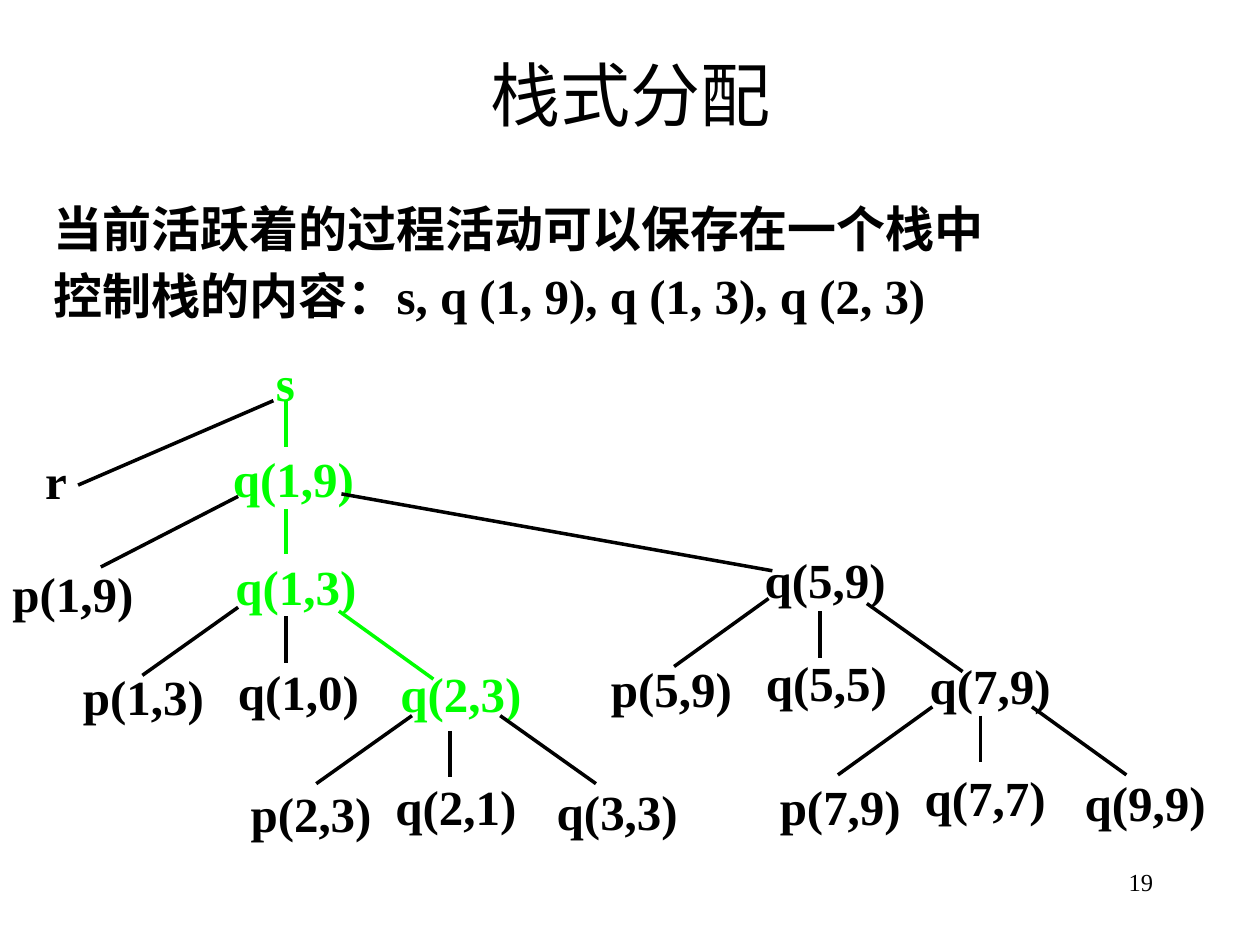
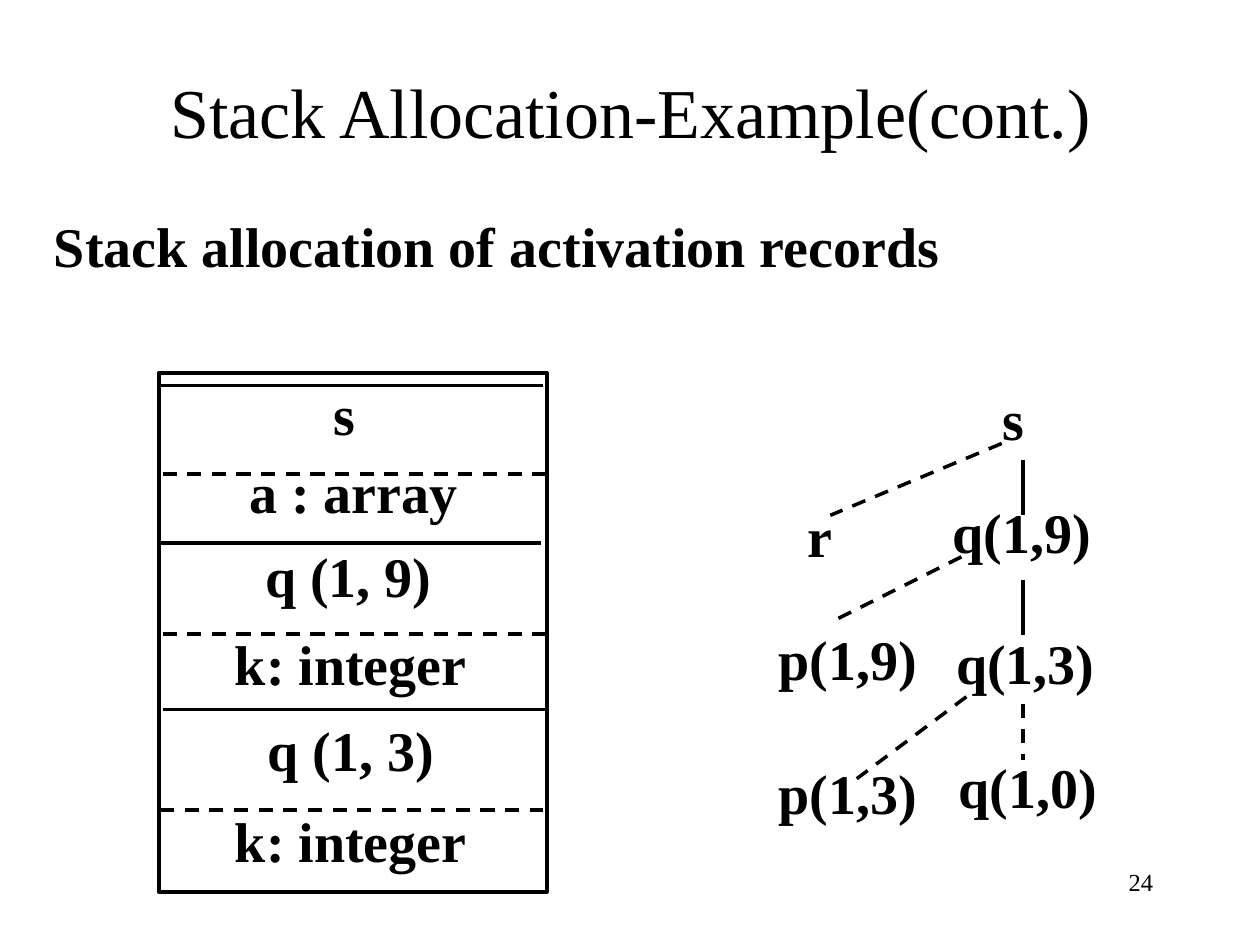
"""Builds two slides on stack allocation: an activation tree and a stack of activation records."""
from lxml import etree
from pptx import Presentation
from pptx.dml.color import RGBColor
from pptx.enum.dml import MSO_LINE
from pptx.enum.shapes import MSO_CONNECTOR, MSO_SHAPE
from pptx.enum.text import MSO_ANCHOR, PP_ALIGN
from pptx.oxml.ns import qn
from pptx.util import Inches, Pt

BLACK = "000000"
GREEN = "00FF00"
LATIN_FONT = "Times New Roman"
CHINESE_FONT = "Noto Sans CJK SC"


def add_text(page, text, left, top, width, height, size, color=BLACK, bold=True, align=PP_ALIGN.LEFT):
    box = page.shapes.add_textbox(Inches(left), Inches(top), Inches(width), Inches(height))
    box.text_frame.word_wrap = True
    box.text_frame.text = text
    for para in box.text_frame.paragraphs:
        para.alignment = align
        for span in para.runs:
            span.font.size = Pt(size)
            span.font.bold = bold
            span.font.name = LATIN_FONT
            span.font.color.rgb = RGBColor.from_string(color)
            etree.SubElement(span.font._element, qn("a:ea"), typeface=CHINESE_FONT)
    return box.text_frame


def add_line(page, start_x, start_y, end_x, end_y, color=BLACK, dashed=False):
    line = page.shapes.add_connector(
        MSO_CONNECTOR.STRAIGHT, Inches(start_x), Inches(start_y), Inches(end_x), Inches(end_y))
    line.line.color.rgb = RGBColor.from_string(color)
    line.line.width = Pt(2)
    if dashed:
        line.line.dash_style = MSO_LINE.DASH
    etree.SubElement(line._element.spPr, qn("a:effectLst"))


deck = Presentation()
deck.slide_width = Inches(10)
deck.slide_height = Inches(7.5)

slides = [
    ("栈式分配", 0.98, "当前活跃着的过程活动可以保存在一个栈中\n控制栈的内容：s, q (1, 9), q (1, 3), q (2, 3)", 1.58, 28, "19"),
    ("Stack Allocation-Example(cont.)", 1.25, "Stack allocation of activation records", 1.69, 32, "24"),
]
pages = []
for title, title_height, body, body_top, body_size, number in slides:
    page = deck.slides.add_slide(deck.slide_layouts[6])
    frame = add_text(page, title, 0.17, 0.25, 9.67, title_height, 40, bold=False, align=PP_ALIGN.CENTER)
    frame.vertical_anchor = MSO_ANCHOR.MIDDLE
    frame = add_text(page, body, 0.33, body_top, 9.31, 1.3, body_size)
    for position, para in enumerate(frame.paragraphs):
        para.line_spacing = 0.9
        if position:
            para.space_before = Pt(8)
    add_text(page, number, 7.17, 6.83, 2.08, 0.5, 14, bold=False, align=PP_ALIGN.RIGHT)
    pages.append(page)
tree_page, record_page = pages

active_calls = [("s", 2.09, 2.75), ("q(1,9)", 1.75, 3.51), ("q(1,3)", 1.77, 4.37), ("q(2,3)", 3.08, 5.22)]
other_calls = [
    ("r", 0.26, 3.53), ("p(1,9)", 0, 4.42), ("q(1,0)", 1.79, 5.2), ("p(1,3)", 0.56, 5.24),
    ("q(2,1)", 3.04, 6.11), ("q(3,3)", 4.32, 6.15), ("p(2,3)", 1.89, 6.17),
    ("q(5,9)", 5.97, 4.31), ("q(5,5)", 5.98, 5.13), ("p(5,9)", 4.75, 5.18), ("q(7,9)", 7.28, 5.15),
    ("q(7,7)", 7.24, 6.04), ("q(9,9)", 8.51, 6.08), ("p(7,9)", 6.09, 6.11),
]
active_edges = [(2.27, 3.18, 2.27, 3.55), (2.27, 4.04, 2.27, 4.4), (2.69, 4.85, 3.44, 5.39)]
other_edges = [
    (2.17, 3.18, 0.62, 3.85), (1.89, 3.94, 0.8, 4.5), (2.71, 3.92, 6.13, 4.53),
    (1.89, 4.82, 1.13, 5.36), (2.27, 4.89, 2.27, 5.26),
    (3.27, 5.68, 2.51, 6.22), (3.57, 5.8, 3.57, 6.17), (3.97, 5.68, 4.73, 6.22),
    (6.1, 4.75, 5.35, 5.29), (6.51, 4.85, 6.51, 5.22), (6.88, 4.79, 7.64, 5.33),
    (7.4, 5.61, 6.65, 6.15), (7.78, 5.68, 7.78, 6.05), (8.19, 5.61, 8.94, 6.15),
]
for color, calls, edges in [(GREEN, active_calls, active_edges), (BLACK, other_calls, other_edges)]:
    for call, left, top in calls:
        add_text(tree_page, call, left, top, 1.22, 0.65, 28, color)
    for edge in edges:
        add_line(tree_page, *edge, color)

stack = record_page.shapes.add_shape(MSO_SHAPE.RECTANGLE, Inches(1.26), Inches(2.96), Inches(3.08), Inches(4.12))
stack.shadow.inherit = False
stack.fill.background()
stack.line.color.rgb = RGBColor.from_string(BLACK)
stack.line.width = Pt(2)

record_fields = [
    ("s", 1.27, 2.92), ("a : array", 1.34, 3.54), ("q (1, 9)", 1.3, 4.21),
    ("k: integer", 1.32, 4.91), ("q (1, 3)", 1.32, 5.59), ("k: integer", 1.32, 6.31),
]
for field, left, top in record_fields:
    frame = add_text(record_page, field, left, top, 2.93, 0.77, 32, align=PP_ALIGN.CENTER)
    frame.margin_top = Inches(0.09)

record_borders = [
    (1.25, 4.31, 3.06, False), (1.29, 4.33, 3.76, True), (1.25, 4.29, 4.31, False),
    (1.29, 4.33, 5.03, True), (1.29, 4.33, 5.63, False), (1.27, 4.31, 6.43, True),
]
for left, right, height, dashed in record_borders:
    add_line(record_page, left, height, right, height, dashed=dashed)

record_calls = [
    ("s", 7.86, 3), ("r", 6.31, 3.93), ("q(1,9)", 7.46, 3.9), ("p(1,9)", 6.08, 4.91),
    ("q(1,3)", 7.49, 4.94), ("p(1,3)", 6.08, 5.97), ("q(1,0)", 7.51, 5.92),
]
for call, left, top in record_calls:
    add_text(record_page, call, left, top, 1.41, 0.78, 32)

live_edges = [(8.12, 3.65, 8.12, 4.09), (8.12, 4.6, 8.12, 5.04)]
finished_edges = [
    (7.95, 3.52, 6.59, 4.09), (7.63, 4.42, 6.59, 4.94),
    (7.67, 5.53, 6.8, 6.18), (8.12, 5.59, 8.12, 6.03),
]
for edges, dashed in [(live_edges, False), (finished_edges, True)]:
    for edge in edges:
        add_line(record_page, *edge, dashed=dashed)

deck.save("out.pptx")
